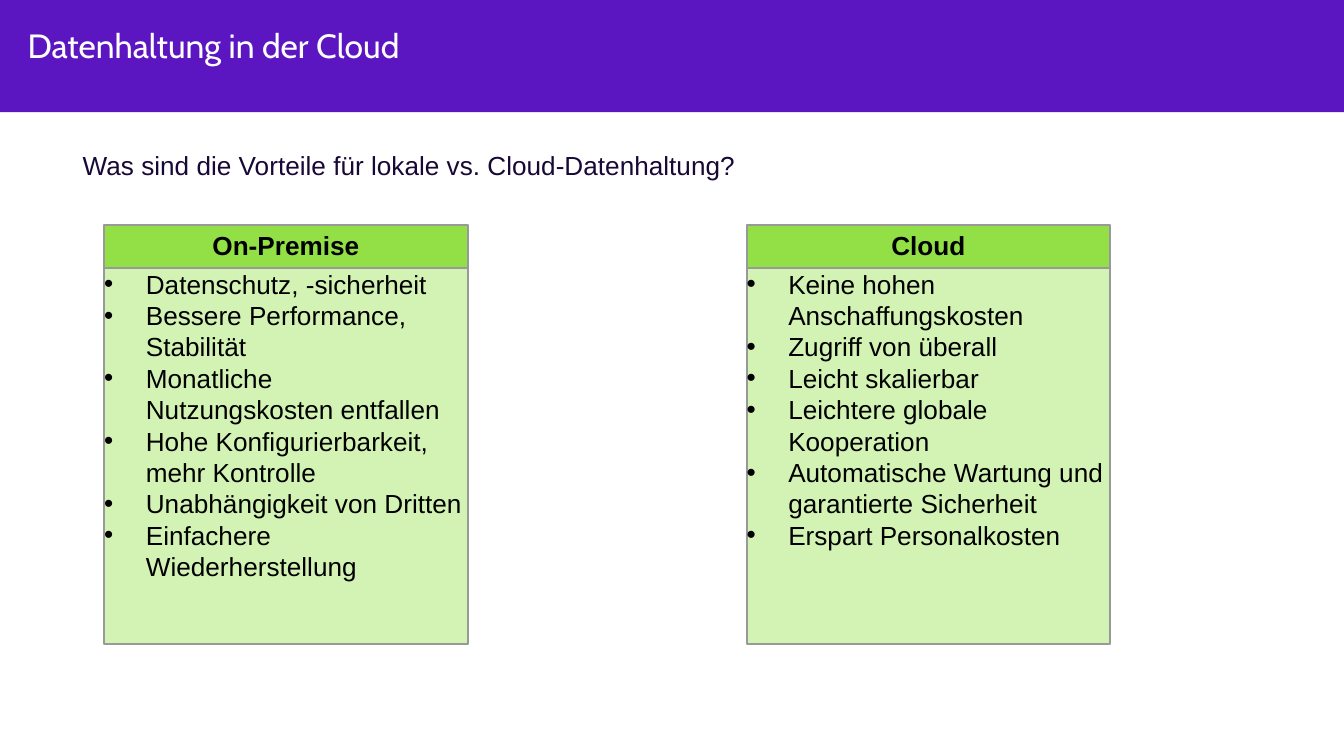
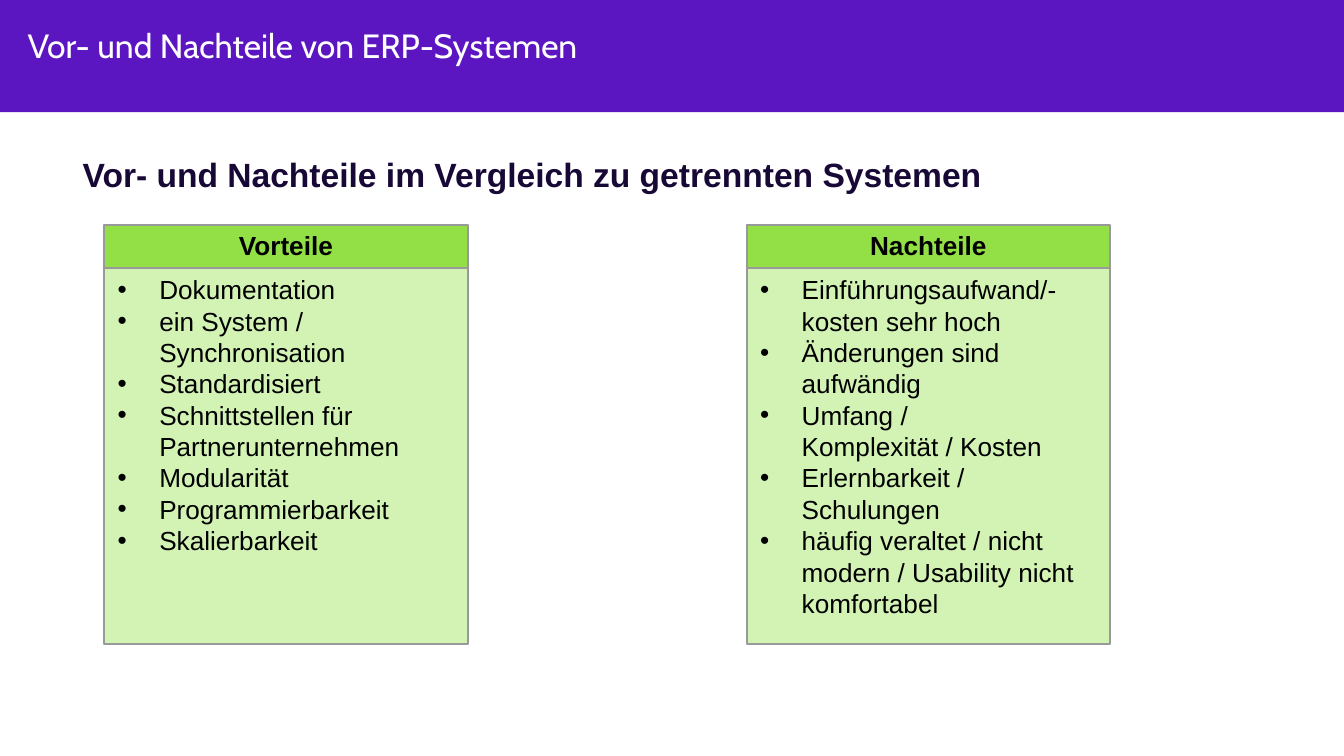
from dataclasses import dataclass

from lxml.etree import SubElement
from pptx import Presentation
from pptx.dml.color import RGBColor
from pptx.enum.shapes import MSO_SHAPE as Preset
from pptx.enum.text import MSO_ANCHOR as Anchor, MSO_AUTO_SIZE as AutoSize, PP_ALIGN as Align
from pptx.oxml.ns import qn
from pptx.util import Pt

EMU_PER_PX = 4572  # 200 px to the inch
SLIDE_WIDTH, SLIDE_HEIGHT = 2000, 1125
BAND_HEIGHT = 167

COLUMN_LEFT, COLUMN_STEP, COLUMN_WIDTH = 155, 956, 541
HEADING_TOP, HEADING_HEIGHT = 335, 64
LIST_HEIGHT = 559
BULLET_INDENT = 62


@dataclass(frozen=True)
class Theme:
    title_font: str = "Cabin"
    body_font: str = "Arial"
    large: int = 18
    normal: int = 14
    list_leading: float = 16.8
    band: str = "5C16C1"
    title: str = "FFFFFF"
    intro: str = "170836"
    text: str = "000000"
    heading_fill: str = "93DF46"
    list_fill: str = "D3F3B5"
    border: str = "999999"


THEME = Theme()


def px(length):
    return length * EMU_PER_PX


def rgb(code):
    return RGBColor.from_string(code)


def place(shape, left, top, width, height):
    shape.left, shape.top = px(left), px(top)
    shape.width, shape.height = px(width), px(height)


def set_frame(shape, left=0, top=0, right=0):
    """Anchor the text at the top, with only the given insets."""
    frame = shape.text_frame
    frame.word_wrap = True
    frame.auto_size = AutoSize.NONE
    frame.vertical_anchor = Anchor.TOP
    frame.margin_left, frame.margin_top = px(left), px(top)
    frame.margin_right, frame.margin_bottom = px(right), 0
    return frame


def format_paragraph(paragraph, color, size=THEME.normal, font=THEME.body_font,
                     bold=False, align=Align.LEFT):
    paragraph.alignment = align
    paragraph.space_before = Pt(0)
    for run in paragraph.runs:
        run.font.name = font
        run.font.size = Pt(size)
        run.font.bold = bold
        run.font.color.rgb = rgb(color)


def add_bullet(paragraph):
    properties = paragraph._p.get_or_add_pPr()
    properties.set("marL", str(px(BULLET_INDENT)))
    properties.set("indent", str(-px(BULLET_INDENT)))
    SubElement(properties, qn("a:buChar")).set("char", "•")


def paint_panel(shape, fill):
    shape.fill.solid()
    shape.fill.fore_color.rgb = rgb(fill)
    shape.line.color.rgb = rgb(THEME.border)
    shape.line.width = Pt(1)


def add_band(layout, slide):
    """Draw the title band and move it to the back of the shared layout."""
    band = slide.shapes.add_shape(Preset.RECTANGLE, 0, 0, px(SLIDE_WIDTH), px(BAND_HEIGHT))
    band.shadow.inherit = False
    band.fill.solid()
    band.fill.fore_color.rgb = rgb(THEME.band)
    band.line.fill.background()
    layout.shapes._spTree.insert(2, band._element)


def fill_title(slide, text):
    title = slide.shapes.title
    place(title, 39, 35, 1024, 66)
    frame = set_frame(title, left=2, top=2)
    frame.text = text
    format_paragraph(frame.paragraphs[0], THEME.title, THEME.large, THEME.title_font)


def add_intro(slide, text, box, size=THEME.normal, bold=False):
    intro = slide.shapes.add_textbox(*map(px, box))
    frame = set_frame(intro, left=2, top=2)
    frame.text = text
    format_paragraph(frame.paragraphs[0], THEME.intro, size, bold=bold)


def fill_heading(heading, text, left):
    place(heading, left, HEADING_TOP, COLUMN_WIDTH, HEADING_HEIGHT)
    paint_panel(heading, THEME.heading_fill)
    frame = set_frame(heading, top=7)
    frame.text = text
    format_paragraph(frame.paragraphs[0], THEME.text, bold=True, align=Align.CENTER)


def fill_list(panel, points, left, insets):
    place(panel, left, HEADING_TOP + HEADING_HEIGHT, COLUMN_WIDTH, LIST_HEIGHT)
    paint_panel(panel, THEME.list_fill)
    frame = set_frame(panel, *insets, right=4)
    for index, point in enumerate(points):
        paragraph = frame.add_paragraph() if index else frame.paragraphs[0]
        paragraph.text = point
        format_paragraph(paragraph, THEME.text)
        paragraph.line_spacing = Pt(THEME.list_leading)
        add_bullet(paragraph)


def fill_columns(slide, columns, insets=(0, 0)):
    """Fill the heading and list placeholders (1, 2 and 3, 4) side by side."""
    placeholders = {p.placeholder_format.idx: p for p in slide.placeholders}
    for index, (heading, points) in enumerate(columns.items()):
        left = COLUMN_LEFT + index * COLUMN_STEP
        fill_list(placeholders[2 * index + 2], points, left, insets)
        fill_heading(placeholders[2 * index + 1], heading, left)


def build_storage_slide(slide):
    fill_title(slide, "Datenhaltung in der Cloud")
    fill_columns(slide, {
        "On-Premise": [
            "Datenschutz, -sicherheit",
            "Bessere Performance, Stabilität",
            "Monatliche Nutzungskosten entfallen",
            "Hohe Konfigurierbarkeit, mehr Kontrolle",
            "Unabhängigkeit von Dritten",
            "Einfachere Wiederherstellung",
        ],
        "Cloud": [
            "Keine hohen Anschaffungskosten",
            "Zugriff von überall",
            "Leicht skalierbar",
            "Leichtere globale Kooperation",
            "Automatische Wartung und garantierte Sicherheit",
            "Erspart Personalkosten",
        ],
    })
    add_intro(slide, "Was sind die Vorteile für lokale vs. Cloud-Datenhaltung?",
              (121, 221, 978, 52))


def build_erp_slide(slide):
    fill_title(slide, "Vor- und Nachteile von ERP-Systemen")
    add_intro(slide, "Vor- und Nachteile im Vergleich zu getrennten Systemen",
              (121, 227, 1404, 64), THEME.large, bold=True)
    fill_columns(slide, {
        "Vorteile": [
            "Dokumentation",
            "ein System / Synchronisation",
            "Standardisiert",
            "Schnittstellen für Partnerunternehmen",
            "Modularität",
            "Programmierbarkeit",
            "Skalierbarkeit",
        ],
        "Nachteile": [
            "Einführungsaufwand/- kosten sehr hoch",
            "Änderungen sind aufwändig",
            "Umfang /\nKomplexität / Kosten",
            "Erlernbarkeit / Schulungen",
            "häufig veraltet / nicht modern / Usability nicht komfortabel",
        ],
    }, insets=(20, 8))


def main():
    deck = Presentation()
    deck.slide_width, deck.slide_height = px(SLIDE_WIDTH), px(SLIDE_HEIGHT)
    comparison = deck.slide_layouts.get_by_name("Comparison")
    storage, erp = (deck.slides.add_slide(comparison) for _ in range(2))
    add_band(comparison, storage)
    build_storage_slide(storage)
    build_erp_slide(erp)
    deck.save("out.pptx")


if __name__ == "__main__":
    main()
